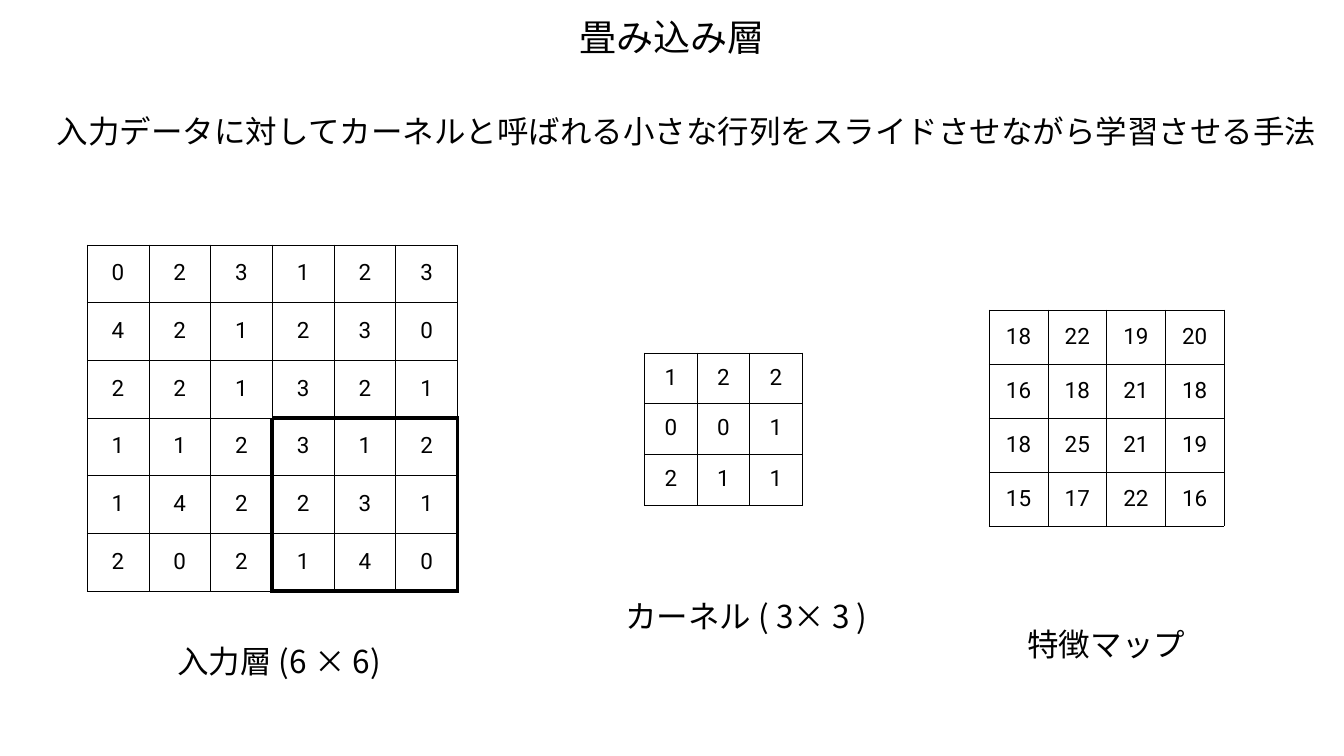
from dataclasses import dataclass
from itertools import product

from lxml.etree import SubElement
from pptx import Presentation
from pptx.dml.color import RGBColor
from pptx.enum.text import MSO_ANCHOR, MSO_AUTO_SIZE, PP_ALIGN
from pptx.oxml.ns import qn
from pptx.util import Inches, Pt


@dataclass(frozen=True)
class Theme:
    """Colours, fonts, type sizes and line widths of the slide."""
    ink: str = "000000"
    paper: str = "FFFFFF"
    text: str = "Noto Sans CJK JP"
    digit: str = "Roboto"
    title: int = 53
    body: int = 45
    cell: int = 32
    thin: int = 1
    thick: int = 6
    inset: float = 0.06


THEME = Theme()


def style(para, size, font, align):
    """Format a paragraph and all its runs."""
    para.alignment = align
    para.line_spacing = 0.9
    for run in para.runs:
        run.font.size = Pt(size)
        run.font.name = font
        run.font.color.rgb = RGBColor.from_string(THEME.ink)
        SubElement(run.font._element, qn("a:ea"), typeface=font)


def pad(area):
    """Give a cell or text frame the common insets."""
    area.margin_left = area.margin_right = Inches(THEME.inset)
    area.margin_top = area.margin_bottom = Inches(THEME.inset)
    area.vertical_anchor = MSO_ANCHOR.MIDDLE


def label(shape, box, text, size, align=PP_ALIGN.LEFT):
    """Place a shape in its box and fill it with one line of text."""
    shape.left, shape.top, shape.width, shape.height = map(Inches, box)
    frame = shape.text_frame
    frame.text = text
    pad(frame)
    frame.word_wrap = False
    frame.auto_size = MSO_AUTO_SIZE.SHAPE_TO_FIT_TEXT
    style(frame.paragraphs[0], size, THEME.text, align)


def note(slide, box, text):
    """Add a line of body text."""
    label(slide.shapes.add_textbox(0, 0, 0, 0), box, text, THEME.body)


def edge(cell, side, width):
    """Draw one border of a cell."""
    line = SubElement(cell._tc.get_or_add_tcPr(), qn(f"a:ln{side}"), w=str(Pt(width)))
    fill = SubElement(line, qn("a:solidFill"))
    SubElement(fill, qn("a:srgbClr"), val=THEME.ink)


def grid(slide, box, rows, window):
    """Add a number matrix with a thick outline around the window cells."""
    count = len(rows), len(rows[0])
    table = slide.shapes.add_table(*count, *map(Inches, box)).table
    table.first_row = table.horz_banding = False
    for row in table.rows:
        row.height = Inches(box[3] / count[0])
    for col in table.columns:
        col.width = Inches(box[2] / count[1])
    for r, c in product(*map(range, count)):
        cell = table.cell(r, c)
        cell.text_frame.text = str(rows[r][c])
        pad(cell)
        style(cell.text_frame.paragraphs[0], THEME.cell, THEME.digit, PP_ALIGN.CENTER)
        near = {"L": (r, c - 1), "R": (r, c + 1), "T": (r - 1, c), "B": (r + 1, c)}
        for side, other in near.items():
            heavy = ((r, c) in window) != (other in window)
            edge(cell, side, THEME.thick if heavy else THEME.thin)
        cell.fill.solid()
        cell.fill.fore_color.rgb = RGBColor.from_string(THEME.paper)


def panel(slide, box, rows, text, place, window=frozenset()):
    """Add a matrix and its caption, placed from the corner of the box."""
    grid(slide, box, rows, window)
    left, top, width = place
    note(slide, (box[0] + left, box[1] + top, width, 0.79), text)


def head(slide, box):
    """Add the title and the line that explains it."""
    left, top, width, _ = box
    mid = left + width / 2
    label(slide.shapes.title, (mid - 1.91, top, 3.83, 0.91), "畳み込み層",
          THEME.title, PP_ALIGN.CENTER)
    note(slide, (left + 1.07, top + 1.91, 25.36, 0.79),
         "入力データに対してカーネルと呼ばれる小さな行列をスライドさせながら学習させる手法")


def main():
    """Build the slide and save it."""
    deck = Presentation()
    deck.slide_width, deck.slide_height = Inches(26.67), Inches(15)
    slide = deck.slides.add_slide(deck.slide_layouts[5])
    head(slide, (0, 0.33, 26.67, 2.7))

    data = [
        [0, 2, 3, 1, 2, 3],
        [4, 2, 1, 2, 3, 0],
        [2, 2, 1, 3, 2, 1],
        [1, 1, 2, 3, 1, 2],
        [1, 4, 2, 2, 3, 1],
        [2, 0, 2, 1, 4, 0],
    ]
    kernel = [[1, 2, 2], [0, 0, 1], [2, 1, 1]]
    result = [
        [18, 22, 19, 20],
        [16, 18, 21, 18],
        [18, 25, 21, 19],
        [15, 17, 22, 16],
    ]
    window = set(product(range(3, 6), repeat=2))
    panel(slide, (1.73, 4.86, 7.35, 6.87), data, "入力層 (6 × 6)",
          (1.73, 7.91, 4.35), window)
    panel(slide, (12.79, 7, 3.13, 3.02), kernel, "カーネル ( 3× 3 )",
          (-0.44, 4.88, 5.19))
    panel(slide, (19.63, 6.15, 4.66, 4.29), result, "特徴マップ",
          (0.7, 6.28, 3.27))
    deck.save("out.pptx")


if __name__ == "__main__":
    main()
